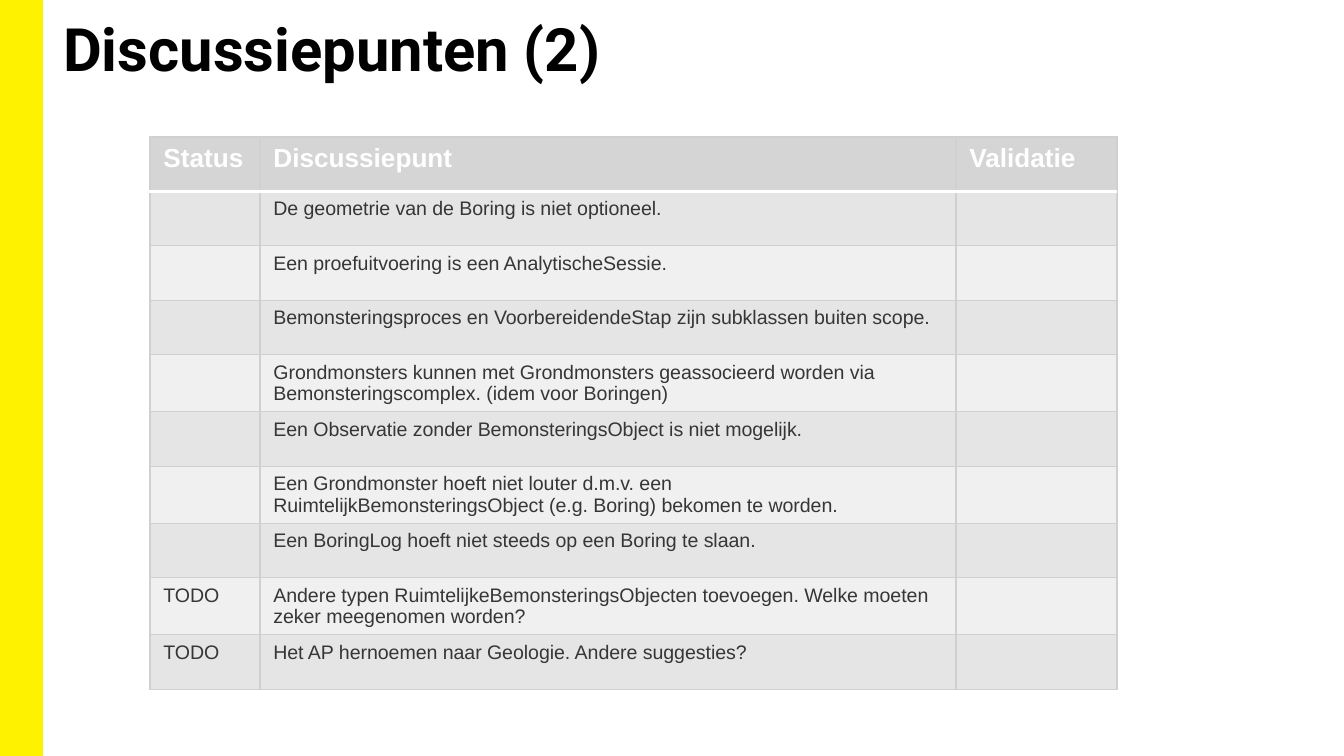
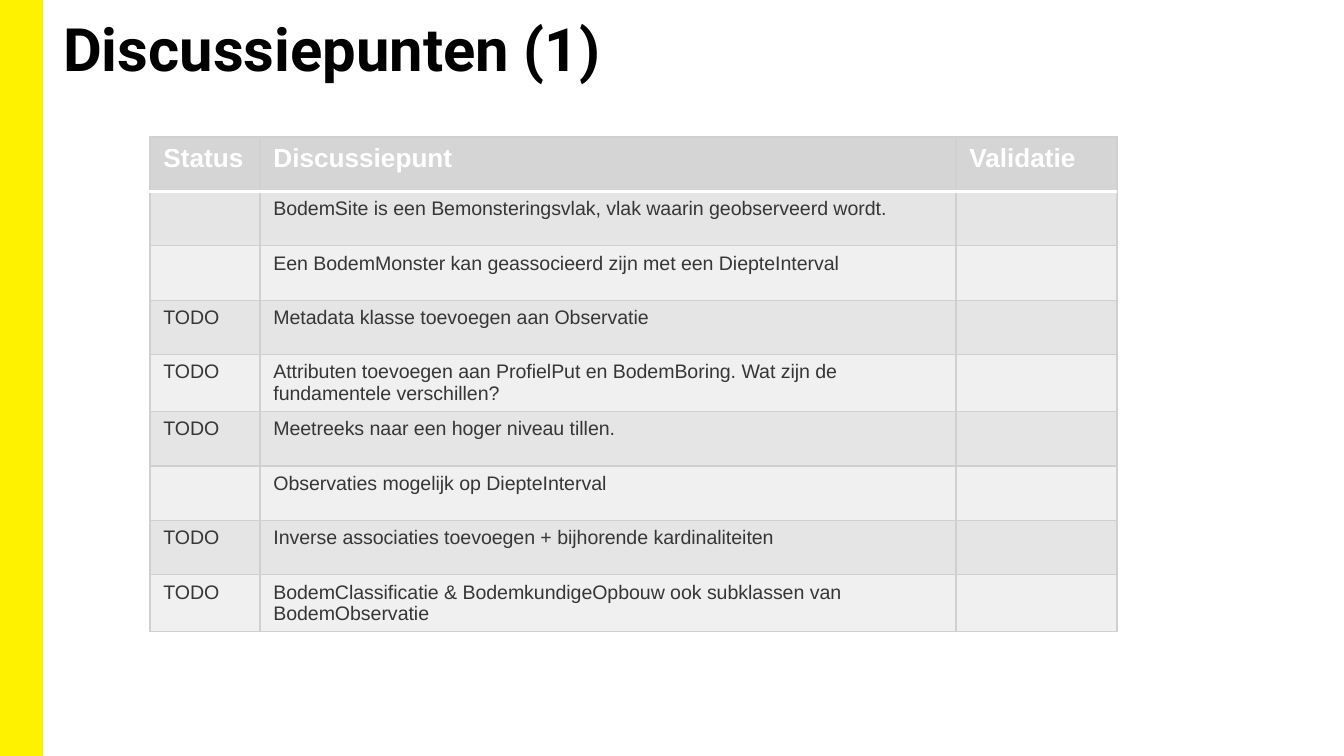
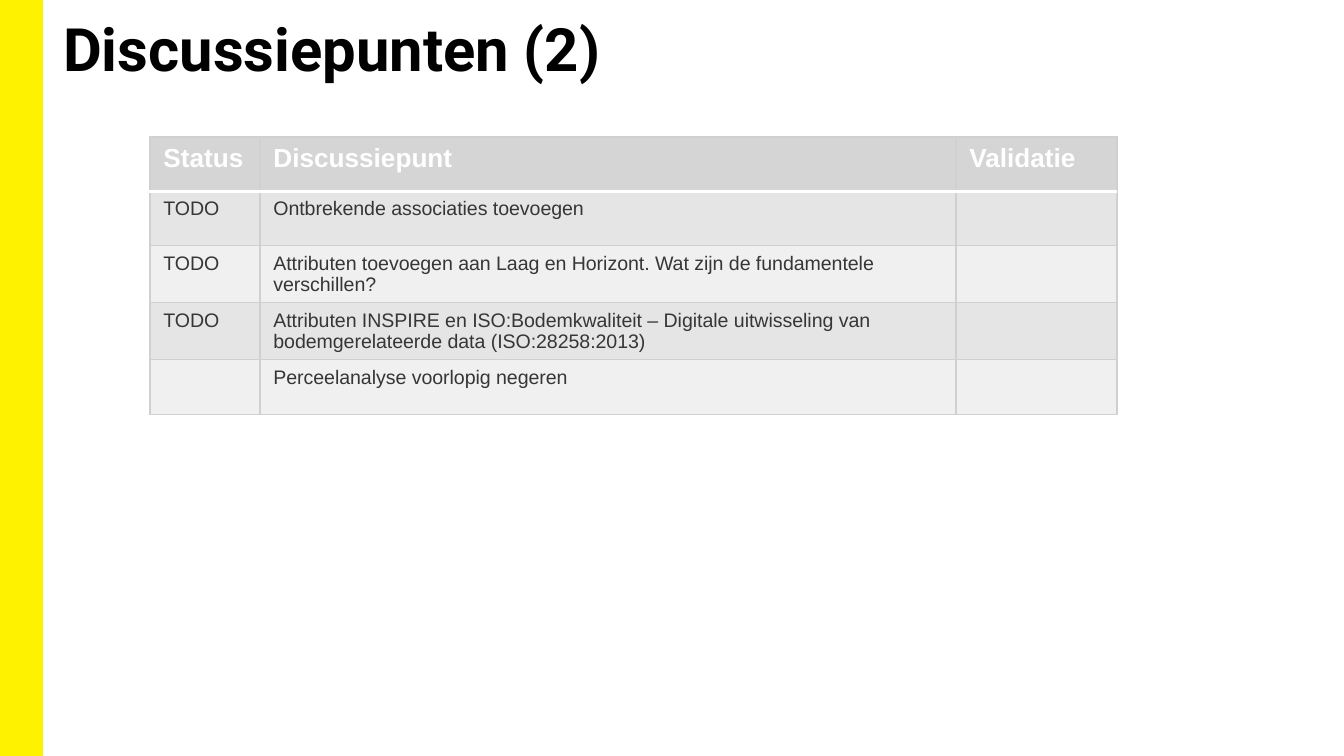
from lxml import etree
from pptx import Presentation
from pptx.dml.color import RGBColor
from pptx.enum.shapes import MSO_SHAPE
from pptx.enum.text import MSO_ANCHOR, MSO_AUTO_SIZE, PP_ALIGN
from pptx.oxml.ns import qn
from pptx.util import Emu, Pt

RECTANGLE = MSO_SHAPE.RECTANGLE
TOP = MSO_ANCHOR.TOP
NO_AUTOFIT = MSO_AUTO_SIZE.NONE
LEFT = PP_ALIGN.LEFT

YELLOW = RGBColor(0xFF, 0xF2, 0x00)
BLACK = RGBColor(0x00, 0x00, 0x00)
WHITE = RGBColor(0xFF, 0xFF, 0xFF)
TEXT_GREY = RGBColor(0x37, 0x36, 0x36)
HEADER_GREY = RGBColor(0xD5, 0xD5, 0xD5)
BORDER_GREY = RGBColor(0xD0, 0xD0, 0xD0)
BAND_GREYS = (RGBColor(0xE5, 0xE5, 0xE5), RGBColor(0xF0, 0xF0, 0xF0))

PX_PER_INCH = 134.4
SLIDE_W, SLIDE_H = 1344, 756
BAND_BOX = (0, 0, 42, SLIDE_H)
TITLE_BOX = (54, 7, 1158, 109)
TABLE_LEFT, TABLE_TOP = 150, 137
COLUMN_WIDTHS = (110, 696, 161)
TWO_ROWS_H = 109

HEADERS = ("Status", "Discussiepunt", "Validatie")
TODO = "TODO"
SLIDES = [
    ("Discussiepunten (2)", [
        ("", "De geometrie van de Boring is niet optioneel."),
        ("", "Een proefuitvoering is een AnalytischeSessie."),
        ("", "Bemonsteringsproces en VoorbereidendeStap zijn subklassen buiten scope."),
        ("", "Grondmonsters kunnen met Grondmonsters geassocieerd worden via "
             "Bemonsteringscomplex. (idem voor Boringen)"),
        ("", "Een Observatie zonder BemonsteringsObject is niet mogelijk."),
        ("", "Een Grondmonster hoeft niet louter d.m.v. een "
             "RuimtelijkBemonsteringsObject (e.g. Boring) bekomen te worden."),
        ("", "Een BoringLog hoeft niet steeds op een Boring te slaan."),
        (TODO, "Andere typen RuimtelijkeBemonsteringsObjecten toevoegen. "
               "Welke moeten zeker meegenomen worden?"),
        (TODO, "Het AP hernoemen naar Geologie. Andere suggesties?"),
    ]),
    ("Discussiepunten (1)", [
        ("", "BodemSite is een Bemonsteringsvlak, vlak waarin geobserveerd wordt."),
        ("", "Een BodemMonster kan geassocieerd zijn met een DiepteInterval"),
        (TODO, "Metadata klasse toevoegen aan Observatie"),
        (TODO, "Attributen toevoegen aan ProfielPut en BodemBoring. "
               "Wat zijn de fundamentele verschillen?"),
        (TODO, "Meetreeks naar een hoger niveau tillen."),
        ("", "Observaties mogelijk op DiepteInterval"),
        (TODO, "Inverse associaties toevoegen + bijhorende kardinaliteiten"),
        (TODO, "BodemClassificatie & BodemkundigeOpbouw ook subklassen van "
               "BodemObservatie"),
    ]),
    ("Discussiepunten (2)", [
        (TODO, "Ontbrekende associaties toevoegen"),
        (TODO, "Attributen toevoegen aan Laag en Horizont. "
               "Wat zijn de fundamentele verschillen?"),
        (TODO, "Attributen INSPIRE en ISO:Bodemkwaliteit – Digitale uitwisseling "
               "van bodemgerelateerde data (ISO:28258:2013)"),
        ("", "Perceelanalyse voorlopig negeren"),
    ]),
]


def px(n):
    return Emu(round(n * 914400 / PX_PER_INCH))


def set_font(p, name, size, color, bold):
    p.font.name = name
    p.font.size = Pt(size)
    p.font.color.rgb = color
    p.font.bold = bold


def add_band(slide, box):
    band = slide.shapes.add_shape(RECTANGLE, *map(px, box))
    band.shadow.inherit = False
    band.fill.solid()
    band.fill.fore_color.rgb = YELLOW
    band.line.color.rgb = YELLOW
    band.line.width = Pt(1)


def set_title(slide, text, box):
    title = slide.shapes.title
    title.left, title.top, title.width, title.height = map(px, box)
    tf = title.text_frame
    tf.text = text
    tf.word_wrap = True
    tf.auto_size = NO_AUTOFIT
    tf.vertical_anchor = TOP
    tf.margin_left = tf.margin_right = px(9)
    tf.margin_top = tf.margin_bottom = px(5)
    p = tf.paragraphs[0]
    p.alignment = LEFT
    set_font(p, "Roboto", 32, BLACK, True)


def set_border(cell, side, color, width):
    """Add one border; sides must come in the order L, R, T, B, before the fill."""
    ln = etree.SubElement(cell._tc.get_or_add_tcPr(), qn(f"a:ln{side}"),
                          w=str(Pt(width)))
    fill = etree.SubElement(ln, qn("a:solidFill"))
    etree.SubElement(fill, qn("a:srgbClr"), val=str(color))


def format_cell(cell, text, row):
    cell.text = text
    white_side = {0: "B", 1: "T"}.get(row)
    for side in "LRTB":
        if side == white_side:
            set_border(cell, side, WHITE, 2)
        else:
            set_border(cell, side, BORDER_GREY, 0.75)
    cell.fill.solid()
    cell.fill.fore_color.rgb = BAND_GREYS[(row - 1) % 2] if row else HEADER_GREY
    p = cell.text_frame.paragraphs[0]
    if row:
        set_font(p, "Arial", 10.5, TEXT_GREY, False)
    else:
        set_font(p, "Arial", 14, WHITE, True)


def add_points_table(slide, points, left, top):
    rows = [HEADERS] + [(status, point, "") for status, point in points]
    frame = slide.shapes.add_table(
        len(rows), len(HEADERS), px(left), px(top),
        px(sum(COLUMN_WIDTHS)), px(TWO_ROWS_H * len(rows) // 2))
    table = frame.table
    table.first_row = table.horz_banding = False
    for column, width in zip(table.columns, COLUMN_WIDTHS):
        column.width = px(width)
    for r, texts in enumerate(rows):
        for c, text in enumerate(texts):
            format_cell(table.cell(r, c), text, r)


def main():
    prs = Presentation()
    prs.slide_width, prs.slide_height = px(SLIDE_W), px(SLIDE_H)
    title_only = prs.slide_layouts[5]
    for title, points in SLIDES:
        slide = prs.slides.add_slide(title_only)
        add_band(slide, BAND_BOX)
        set_title(slide, title, TITLE_BOX)
        add_points_table(slide, points, TABLE_LEFT, TABLE_TOP)
    prs.save("out.pptx")


if __name__ == "__main__":
    main()
